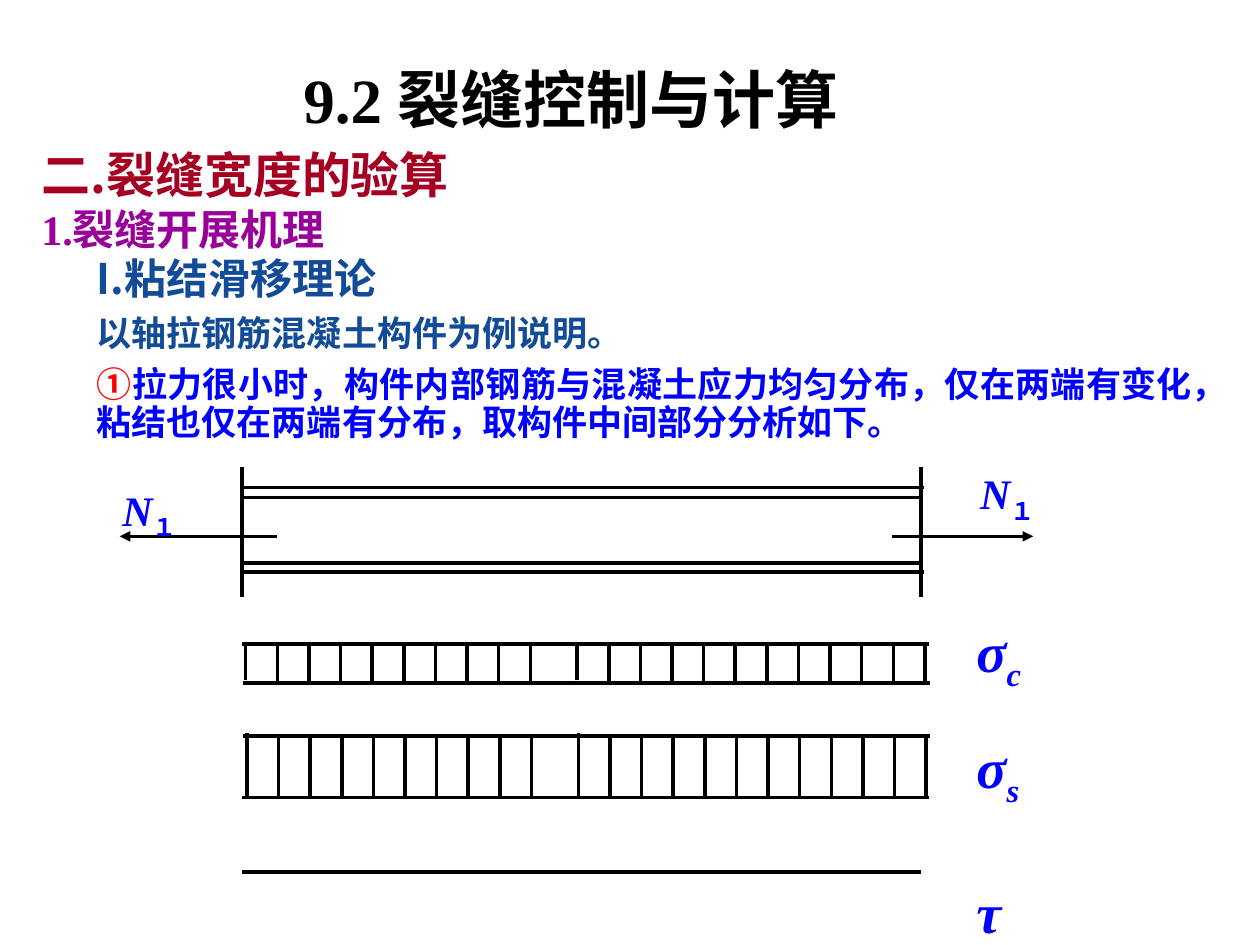
"""Build a slide on crack mechanism with bar and stress distribution diagrams."""
import pptx
import pptx.dml.color
import pptx.enum.shapes
import pptx.enum.text
import pptx.oxml
import pptx.oxml.ns
import pptx.util
from lxml import etree

Pt = pptx.util.Pt
ALIGN = pptx.enum.text.PP_ALIGN
ANCHOR = pptx.enum.text.MSO_ANCHOR
SERIF = "Times New Roman"
SANS = "Noto Sans CJK SC"
COLORS = {
    "black": "000000",
    "heading": "A50021",
    "subheading": "990099",
    "theory": "124B98",
    "blue": "0000FF",
    "red": "FF0000",
}
BAR_LEFT, BAR_RIGHT = 138.2, 526.3
HATCH_PITCH = 18.07
HATCH_SETS = ((0, 10), (189.4, 12))


def set_values(target, values):
    """Set every attribute named in a dict of format values."""
    for name, value in values.items():
        setattr(target, name, value)


def add_run(paragraph, text, color, size, name=SERIF, italic=False, subscript=False):
    """Add a bold run with Latin and East Asian fonts."""
    run = paragraph.add_run()
    run.text = text
    set_values(run.font, {"size": Pt(size), "name": name, "bold": True, "italic": italic})
    run.font.color.rgb = pptx.dml.color.RGBColor.from_string(COLORS[color])
    properties = run._r.get_or_add_rPr()
    east_asian = etree.SubElement(properties, pptx.oxml.ns.qn("a:ea"))
    east_asian.set("typeface", SANS)
    if subscript:
        properties.set("baseline", "-25000")


def fill_frame(frame, paragraphs):
    """Write (format, runs) pairs as the paragraphs of a text frame."""
    for index, (values, runs) in enumerate(paragraphs):
        paragraph = frame.add_paragraph() if index else frame.paragraphs[0]
        set_values(paragraph, values)
        for run in runs:
            add_run(paragraph, **run)


def add_text(slide, box, paragraphs, margins=(7.2, 3.6, 7.2, 3.6)):
    """Add a wrapped text box."""
    frame = slide.shapes.add_textbox(*map(Pt, box)).text_frame
    sides = ("margin_left", "margin_top", "margin_right", "margin_bottom")
    set_values(frame, dict(zip(sides, map(Pt, margins)), word_wrap=True))
    fill_frame(frame, paragraphs)


def add_title(slide):
    """Place and write the title."""
    title = slide.shapes.title
    set_values(title, {"left": Pt(0), "top": Pt(33.8), "width": Pt(660), "height": Pt(44.6)})
    set_values(title.text_frame, {
        "vertical_anchor": ANCHOR.MIDDLE,
        "auto_size": pptx.enum.text.MSO_AUTO_SIZE.NONE,
        "word_wrap": True,
    })
    fill_frame(title.text_frame, [({"alignment": ALIGN.CENTER}, [
        {"text": "9.2 裂缝控制与计算", "color": "black", "size": 36},
        {"text": " ", "color": "black", "size": 32, "name": "DejaVu Sans"},
    ])])


def add_line(shapes, start, end, arrow=False):
    """Add a black straight line, with an arrowhead at its end if asked."""
    connector = shapes.add_connector(
        pptx.enum.shapes.MSO_CONNECTOR.STRAIGHT, *map(Pt, start + end))
    connector.line.width = Pt(2)
    connector.line.color.rgb = pptx.dml.color.RGBColor.from_string(COLORS["black"])
    properties = connector._element.spPr
    etree.SubElement(properties, pptx.oxml.ns.qn("a:effectLst"))
    if arrow:
        line = properties.find(pptx.oxml.ns.qn("a:ln"))
        etree.SubElement(line, pptx.oxml.ns.qn("a:tailEnd")).set("type", "triangle")


def add_member(slide):
    """Draw the tension member, its end faces and its axial forces."""
    for left, y in ((BAR_LEFT, 321.8), (139.7, 326.9), (BAR_LEFT, 284.4), (139.7, 278.6)):
        add_line(slide.shapes, (left, y), (left + BAR_RIGHT - BAR_LEFT, y))
    for x in (BAR_LEFT, BAR_RIGHT):
        add_line(slide.shapes, (x, 267.1), (x, 341.3))
    for start, end in ((509.8, 590.4), (158.4, 68.4)):
        add_line(slide.shapes, (start, 306.5), (end, 306.5), arrow=True)


def add_stress_block(slide, top_edge, bottom_edge, hatch_left, hatch_top, hatch_height):
    """Draw a hatched stress block as a group of lines."""
    shapes = slide.shapes.add_group_shape().shapes
    for x, y in (top_edge, bottom_edge):
        add_line(shapes, (x, y), (x + 392.4, y))
    for offset, count in HATCH_SETS:
        for index in range(count):
            x = hatch_left + offset + index * HATCH_PITCH
            y = hatch_top if index else hatch_top - 1.5
            add_line(shapes, (x, y + hatch_height), (x, y))


def add_force_label(slide, box):
    """Add an axial force label."""
    values = {"alignment": ALIGN.CENTER, "line_spacing": 0.9}
    add_text(slide, box, [(values, [
        {"text": "N", "color": "blue", "size": 24, "italic": True},
        {"text": "１", "color": "blue", "size": 24, "subscript": True},
    ])])


def add_stress_labels(slide):
    """Add the column of stress symbols."""
    paragraphs = []
    for symbol, index, gap in (("σ", "c", 0), ("σ", "s", 27), ("τ", "", 47)):
        runs = [{"text": symbol, "color": "blue", "size": 32, "italic": True}]
        if index:
            runs.append(dict(runs[0], text=index, subscript=True))
        paragraphs.append(({"line_spacing": 0.9, "space_before": Pt(gap)}, runs))
    add_text(slide, (558, 349.9, 108, 172.1), paragraphs, (0, 2.9, 2.9, 2.9))


def add_body(slide):
    """Add the headings and the explanation."""
    add_text(slide, (16.6, 79.2, 313.2, 69.8), [
        ({}, [{"text": "二.裂缝宽度的验算", "color": "heading", "size": 28, "name": SANS}]),
        ({}, [{"text": "1.裂缝开展机理", "color": "subheading", "size": 24}]),
    ])
    justified = {"alignment": ALIGN.JUSTIFY, "line_spacing": 0.9}
    add_text(slide, (48.2, 144, 660.2, 113), [
        ({"line_spacing": 0.9},
         [{"text": "I.粘结滑移理论", "color": "theory", "size": 24, "name": SANS}]),
        (dict(justified, space_before=Pt(7.5), space_after=Pt(7.5)),
         [{"text": "以轴拉钢筋混凝土构件为例说明。", "color": "theory", "size": 20}]),
        (justified, [
            {"text": "①", "color": "red", "size": 20},
            {"text": "拉力很小时，构件内部钢筋与混凝土应力均匀分布，仅在两端有变化，"
                     "粘结也仅在两端有分布，取构件中间部分分析如下。",
             "color": "blue", "size": 20},
        ]),
    ])


def main():
    """Build and save the slide."""
    presentation = pptx.Presentation()
    set_values(presentation, {"slide_width": Pt(720), "slide_height": Pt(540)})
    slide = presentation.slides.add_slide(presentation.slide_layouts[5])
    add_title(slide)
    add_body(slide)
    add_line(slide.shapes, (BAR_LEFT, 498.2), (BAR_RIGHT, 498.2))
    add_stress_block(slide, (139, 420.5), (138.2, 455.8), 141.1, 420.5, 36)
    add_stress_block(slide, (138.2, 367.9), (139, 390.2), 140.4, 368.6, 21.6)
    add_member(slide)
    add_force_label(slide, (48.2, 273.6, 74.9, 36.7))
    add_force_label(slide, (536.4, 264.2, 78.5, 36.7))
    add_stress_labels(slide)
    presentation.save("out.pptx")


if __name__ == "__main__":
    main()
